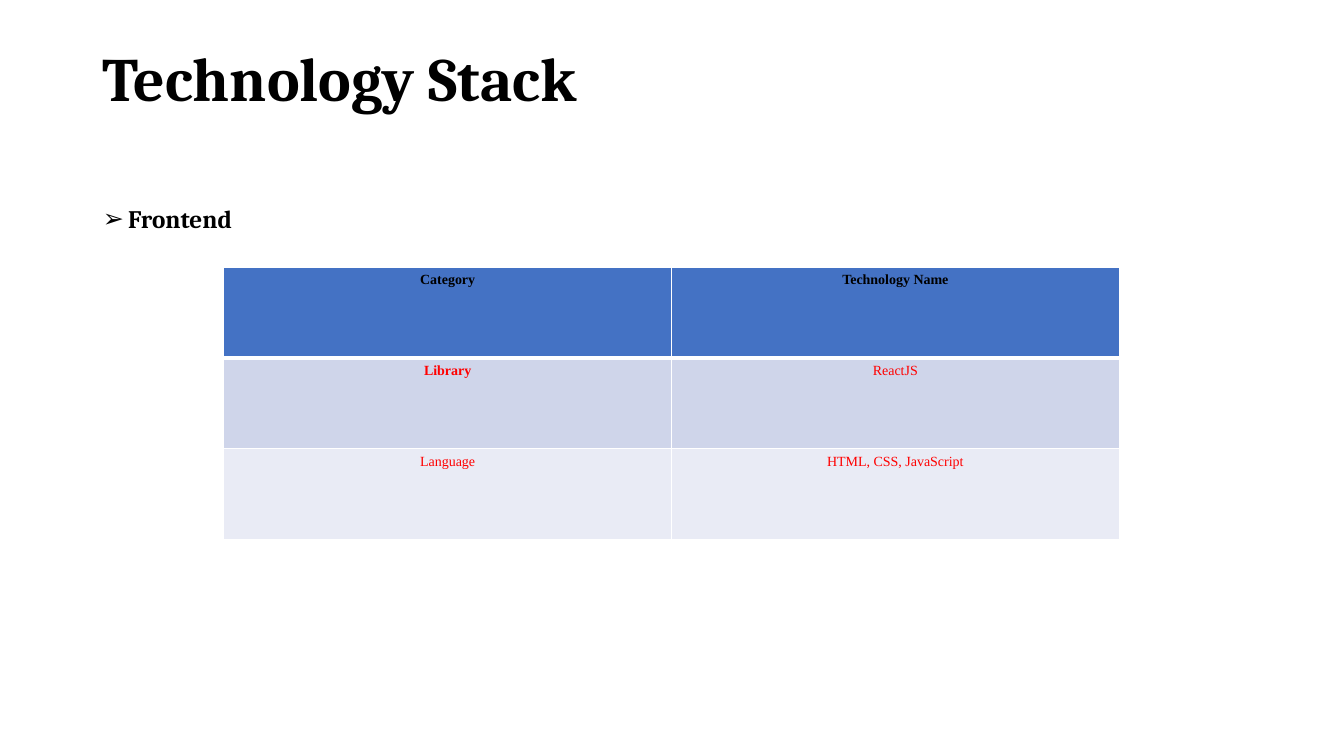
"""Build the Technology Stack slide with its frontend table."""
from dataclasses import dataclass

from lxml import etree
from pptx import Presentation
from pptx.dml.color import RGBColor
from pptx.enum.text import MSO_ANCHOR, MSO_AUTO_SIZE, PP_ALIGN
from pptx.oxml.ns import qn
from pptx.util import Inches, Pt

LEFT, CENTER = PP_ALIGN.LEFT, PP_ALIGN.CENTER
TOP = MSO_ANCHOR.TOP
NO_FIT = MSO_AUTO_SIZE.NONE

TITLE = "Technology Stack"
SECTION = "Frontend"
BULLET = "➢"
ROWS = [
    ("Category", "Technology Name"),
    ("Library", "ReactJS"),
    ("Language", "HTML, CSS, JavaScript"),
]
BOLD_CELLS = {"Category", "Technology Name", "Library"}

TITLE_BOX = (0.92, 0.4, 11.5, 1.45)
BODY_BOX = (0.92, 2, 11.5, 4.76)
TABLE_BOX = (2.22, 2.65, 8.88, 2.7)


@dataclass(frozen=True)
class Theme:
    heading_font: str = "Cambria"
    table_font: str = "Times New Roman"
    title_size: int = 44
    section_size: int = 18
    cell_size: int = 10
    ink: str = "000000"
    accent: str = "FF0000"
    border: str = "FFFFFF"
    row_fills: tuple = ("4472C4", "CFD5EA", "E9EBF5")


THEME = Theme()


def add_run(p, text, font, size, color, bold=True):
    r = p.add_run()
    r.text = text
    r.font.name = font
    r.font.size = Pt(size)
    r.font.bold = bold
    r.font.color.rgb = RGBColor.from_string(color)


def fill_placeholder(sp, box, text, size, margin_top):
    sp.left, sp.top, sp.width, sp.height = map(Inches, box)
    tf = sp.text_frame
    tf.auto_size = NO_FIT
    tf.vertical_anchor = TOP
    tf.margin_top = Inches(margin_top)
    p = tf.paragraphs[0]
    p.alignment = LEFT
    p.line_spacing = 0.9
    add_run(p, text, THEME.heading_font, size, THEME.ink)
    return p


def set_bullet(p, char, indent):
    pPr = p._p.get_or_add_pPr()
    pPr.set("marL", str(Inches(indent)))
    pPr.set("indent", str(-Inches(indent)))
    etree.SubElement(pPr, qn("a:buFont"), typeface="Arial")
    etree.SubElement(pPr, qn("a:buChar"), char=char)


def set_borders(cell, widths):
    tcPr = cell._tc.get_or_add_tcPr()
    for i, (side, width) in enumerate(widths.items()):
        ln = etree.Element(qn(f"a:ln{side}"), w=str(Pt(width)))
        fill = etree.SubElement(ln, qn("a:solidFill"))
        etree.SubElement(fill, qn("a:srgbClr"), val=THEME.border)
        tcPr.insert(i, ln)


def fill_cell(cell, text, row):
    cell.margin_left = cell.margin_right = Inches(0.04)
    cell.margin_top = cell.margin_bottom = Inches(0.04)
    cell.fill.solid()
    cell.fill.fore_color.rgb = RGBColor.from_string(THEME.row_fills[row])
    set_borders(cell, {"L": 1, "R": 1, "T": 3 if row == 1 else 1, "B": 3 if row == 0 else 1})
    p = cell.text_frame.paragraphs[0]
    p.alignment = CENTER
    p.line_spacing = 1.07
    p.space_after = Pt(8)
    color = THEME.accent if row else THEME.ink
    add_run(p, text, THEME.table_font, THEME.cell_size, color, text in BOLD_CELLS)


def add_stack_table(s):
    table = s.shapes.add_table(len(ROWS), len(ROWS[0]), *map(Inches, TABLE_BOX)).table
    for i, row in enumerate(ROWS):
        for j, text in enumerate(row):
            fill_cell(table.cell(i, j), text, i)


def main():
    prs = Presentation()
    prs.slide_width, prs.slide_height = Inches(13.33), Inches(7.5)
    s = prs.slides.add_slide(prs.slide_layouts[1])
    fill_placeholder(s.shapes.title, TITLE_BOX, TITLE, THEME.title_size, 0.08)
    p = fill_placeholder(s.placeholders[1], BODY_BOX, SECTION, THEME.section_size, 0.05)
    p.space_before = Pt(10)
    set_bullet(p, BULLET, 0.25)
    add_stack_table(s)
    prs.save("out.pptx")


if __name__ == "__main__":
    main()
